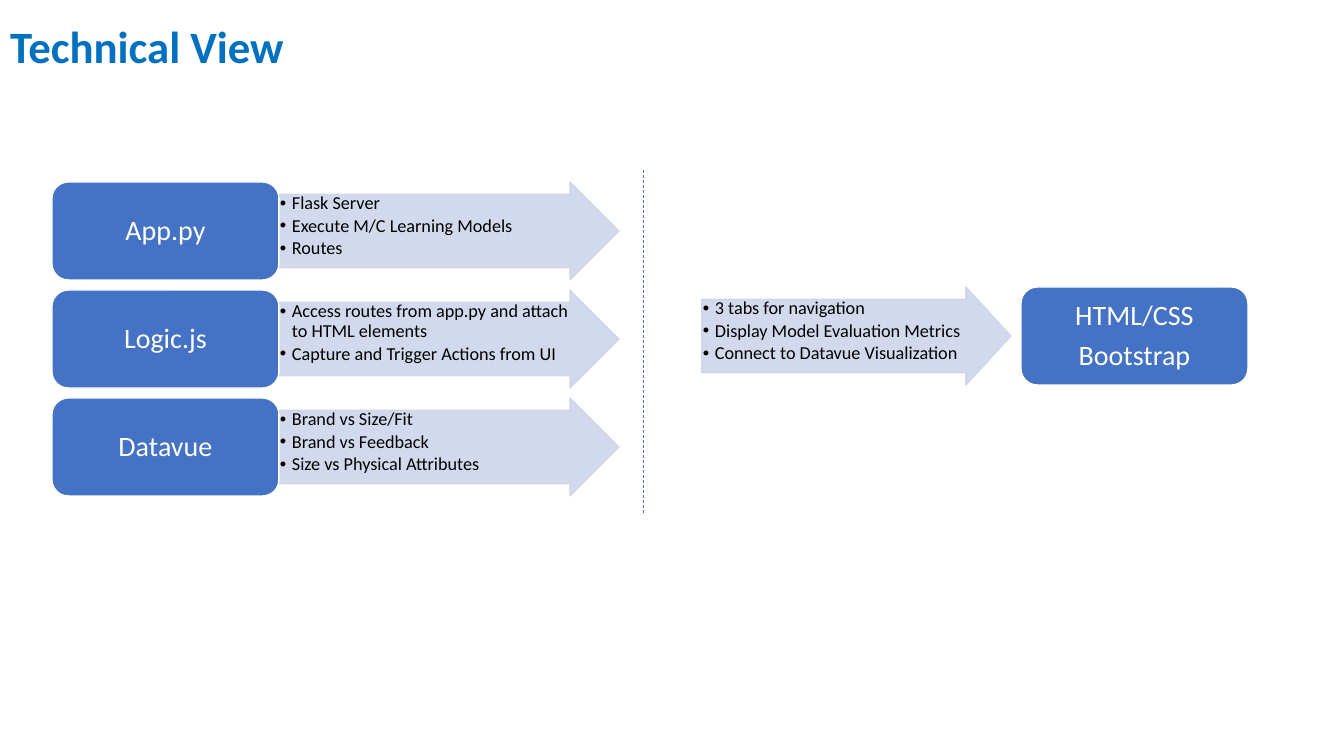
"""Build the Technical View slide: three sources on the left, the web page on the right."""
import lxml.etree
import pptx
import pptx.dml.color
import pptx.enum.dml
import pptx.enum.shapes
import pptx.enum.text
import pptx.oxml.ns
import pptx.util

RGBColor = pptx.dml.color.RGBColor
Pt = pptx.util.Pt
MSO_SHAPE = pptx.enum.shapes.MSO_SHAPE
ANCHOR = pptx.enum.text.MSO_ANCHOR
ALIGN = pptx.enum.text.PP_ALIGN
qn = pptx.oxml.ns.qn

TITLE_BLUE = RGBColor(0x00, 0x70, 0xC0)
BLUE = RGBColor(0x44, 0x72, 0xC4)
PALE = RGBColor(0xCF, 0xD5, 0xEA)
WHITE = RGBColor(0xFF, 0xFF, 0xFF)
BLACK = RGBColor(0x00, 0x00, 0x00)

ROW_H = 98
ROW_PITCH = 108
BOX_W = 227
SOURCES = [
    ("App.py", ["Flask Server", "Execute M/C Learning Models", "Routes"]),
    ("Logic.js", ["Access routes from app.py and attach to HTML elements",
                  "Capture and Trigger Actions from UI"]),
    ("Datavue", ["Brand vs Size/Fit", "Brand vs Feedback", "Size vs Physical Attributes"]),
]
PAGE_FEATURES = ["3 tabs for navigation", "Display Model Evaluation Metrics",
                 "Connect to Datavue Visualization"]


def px(n):
    return round(n * 914400 / 100.8)


def write(tf, lines, size=13, color=BLACK, bold=False, align=ALIGN.LEFT,
          anchor=ANCHOR.TOP, spacing=0.9, after=0, bullet=False, font="Calibri"):
    tf.word_wrap = True
    tf.vertical_anchor = anchor
    for i, line in enumerate(lines):
        p = tf.paragraphs[0] if i == 0 else tf.add_paragraph()
        p.alignment = align
        p.line_spacing = spacing
        p.space_before = Pt(0)
        p.space_after = Pt(after)
        if bullet:
            pPr = p._p.get_or_add_pPr()
            pPr.set("marL", str(px(12)))
            pPr.set("indent", str(-px(12)))
            lxml.etree.SubElement(pPr, qn("a:buFont"), typeface="Arial")
            lxml.etree.SubElement(pPr, qn("a:buChar"), char="•")
        r = p.add_run()
        r.text = line
        r.font.name = font
        r.font.size = Pt(size)
        r.font.bold = bold
        r.font.color.rgb = color


class Deck:
    def __init__(self, width, height):
        self.prs = pptx.Presentation()
        self.prs.slide_width = px(width)
        self.prs.slide_height = px(height)
        self.slide = self.prs.slides.add_slide(self.prs.slide_layouts[5])

    def title(self, text, x, y, w, h):
        sp = self.slide.shapes.title
        sp.left, sp.top, sp.width, sp.height = px(x), px(y), px(w), px(h)
        write(sp.text_frame, [text], size=32, color=TITLE_BLUE, bold=True, spacing=1)

    def shape(self, kind, x, y, w, h, fill, line):
        sp = self.slide.shapes.add_shape(kind, px(x), px(y), px(w), px(h))
        sp.shadow.inherit = False
        sp.fill.solid()
        sp.fill.fore_color.rgb = fill
        sp.line.color.rgb = line
        sp.line.width = Pt(1)
        return sp

    def box(self, lines, x, y):
        sp = self.shape(MSO_SHAPE.ROUNDED_RECTANGLE, x, y, BOX_W, ROW_H, BLUE, WHITE)
        write(sp.text_frame, lines, size=20, color=WHITE, align=ALIGN.CENTER,
              anchor=ANCHOR.MIDDLE, after=7)

    def arrow(self, items, x, y, w, head):
        sp = self.shape(MSO_SHAPE.RIGHT_ARROW, x, y, w, ROW_H, PALE, PALE)
        sp.adjustments[0] = 0.75
        sp.adjustments[1] = head / ROW_H
        for clr in sp._element.spPr.iter(qn("a:srgbClr")):
            lxml.etree.SubElement(clr, qn("a:alpha"), val="90000")
        tf = sp.text_frame
        tf.margin_left = px(1)
        tf.margin_top = tf.margin_right = tf.margin_bottom = 0
        write(tf, items, after=2, bullet=True)

    def divider(self, x, top, bottom):
        line = self.slide.shapes.add_connector(
            pptx.enum.shapes.MSO_CONNECTOR.STRAIGHT, px(x), px(top), px(x), px(bottom))
        line.line.color.rgb = BLUE
        line.line.width = Pt(0.5)
        line.line.dash_style = pptx.enum.dml.MSO_LINE.DASH
        lxml.etree.SubElement(line._element.spPr, qn("a:effectLst"))


deck = Deck(1344, 756)
deck.title("Technical View", 0, 14, 458, 64)
for row, (name, duties) in enumerate(SOURCES):
    top = 182 + row * ROW_PITCH
    deck.arrow(duties, 279, top, 340, 49)
    deck.box([name], 52, top)
deck.divider(643, 170, 515)
deck.arrow(PAGE_FEATURES, 702, 287, 309, 45)
deck.box(["HTML/CSS", "Bootstrap"], 1021, 287)
deck.prs.save("out.pptx")
